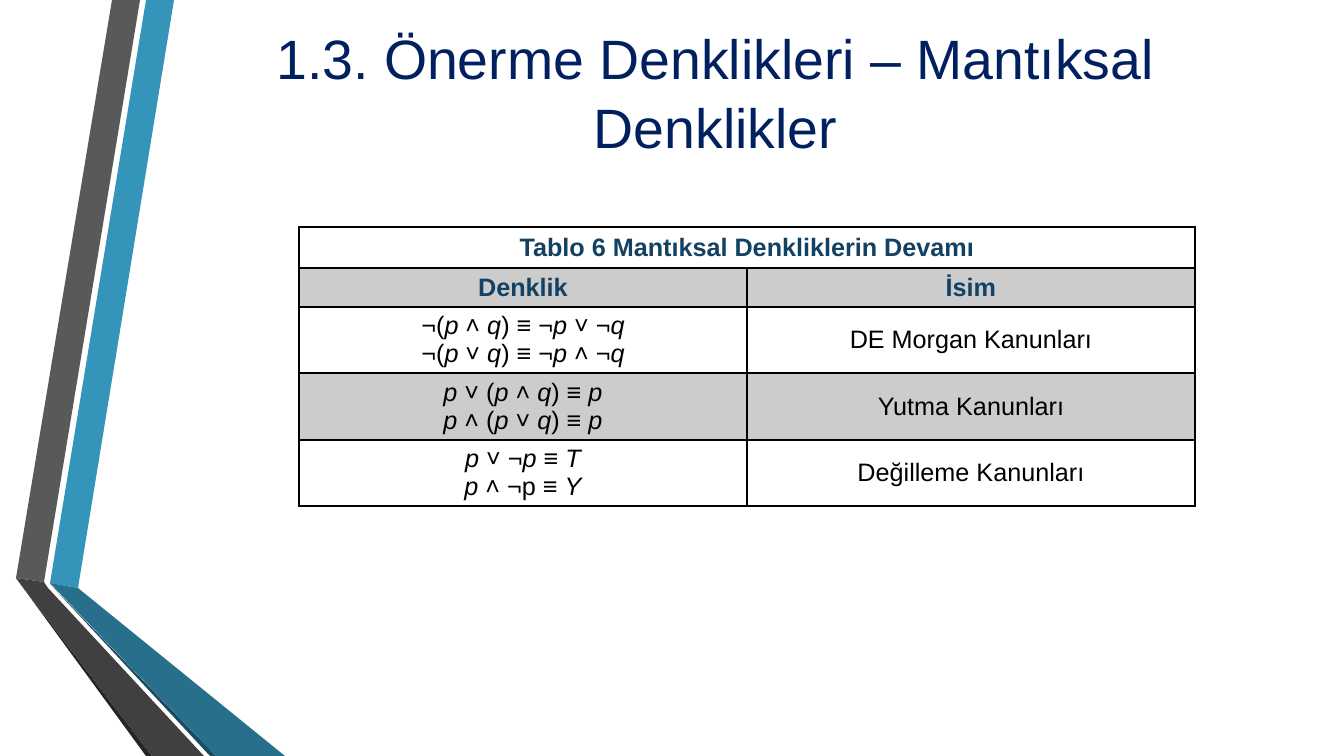
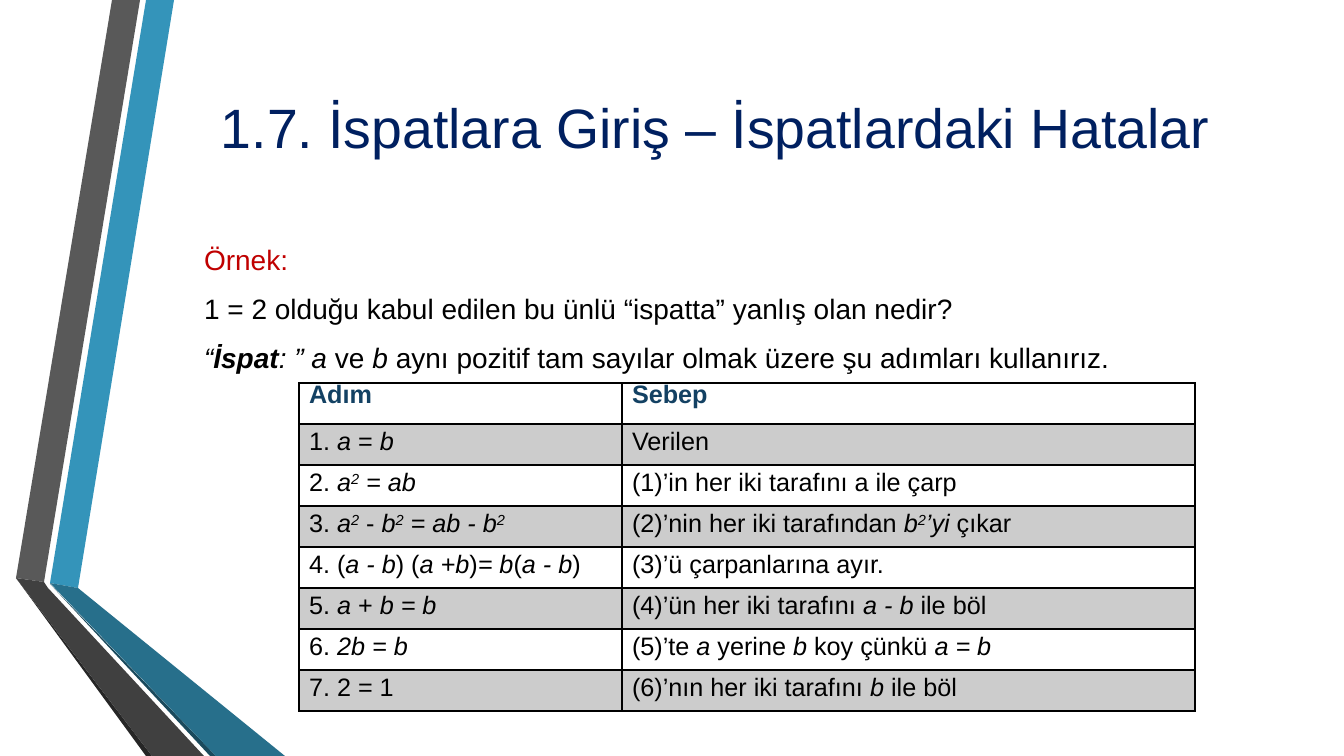
"""Builds two lecture slides on logical equivalences and faulty proofs."""
from lxml.etree import SubElement as Sub
from pptx import Presentation
from pptx.dml.color import RGBColor
from pptx.enum.text import MSO_ANCHOR as Anchor, MSO_AUTO_SIZE as Fit, PP_ALIGN as Align
from pptx.oxml import parse_xml
from pptx.oxml.ns import nsdecls, qn
from pptx.util import Pt

UNIT = 914400 / 100.8
WIDE, HIGH = 1344, 756
FONT = "Arial"
BLACK, NAVY, HEAD, RED, GREY = "000000", "002060", "134163", "C00000", "CCCCCC"

BANDS = [
    ("3494BA", [(50, 583), (78, 588), (174, 0), (146, 0)]),
    ("595959", [(140, 0), (112, 0), (16, 578), (44, 582)]),
    ("262626", [(16, 578), (146, 756), (152, 756)]),
    ("1A4A5D", [(50, 584), (210, 756), (216, 756)]),
    ("276F8B", [(50, 583), (216, 756), (285, 756), (78, 588)]),
    ("404040", [(204, 756), (48, 588), (44, 582), (16, 578), (152, 756)]),
]
TITLE = (163, 14, 1105, 155)
BODY = (194, 202, 1105, 213)

# Marks in text: * italic, # bold, ^ superscript
LAWS = dict(
    title="1.3. Önerme Denklikleri – Mantıksal Denklikler",
    left=299, top=227, cols=[448, 448], rows=[41, 39, 66, 67, 66],
    heads=2, span=True, anchor=Anchor.MIDDLE, align=Align.CENTER, line=None,
    cells=[
        ("Tablo 6 Mantıksal Denkliklerin Devamı", ""),
        ("Denklik", "İsim"),
        ("*¬*(*p* ˄ *q*) ≡ *¬p* ˅ *¬q*\n*¬*(*p* ˅ *q*) ≡ *¬p* ˄ *¬q*", "DE Morgan Kanunları"),
        ("*p* ˅ (*p* ˄ *q*) ≡ *p*\n*p* ˄ (*p* ˅ *q*) ≡ *p*", "Yutma Kanunları"),
        ("*p* ˅ *¬p* ≡ *T*\n*p* ˄ *¬*p ≡ *Y*", "Değilleme Kanunları"),
    ],
)
PROOF = dict(
    title="1.7. İspatlara Giriş – İspatlardaki Hatalar",
    body="Örnek:\n"
         "1 = 2 olduğu kabul edilen bu ünlü “ispatta” yanlış olan nedir?\n"
         "*“#İspat#: ” a* ve *b* aynı pozitif tam sayılar olmak üzere şu adımları kullanırız.",
    left=299, top=383, cols=[323, 573], rows=[41] * 8,
    heads=1, span=False, anchor=Anchor.TOP, align=Align.LEFT, line=Pt(15.5),
    cells=[
        ("Adım", "Sebep"),
        ("1. *a* = *b*", "Verilen"),
        ("2. *a^2^ = ab*", "(1)’in her iki tarafını a ile çarp"),
        ("3. *a^2^* - *b^2^ = ab - b^2^*", "(2)’nin her iki tarafından *b^2^’yi* çıkar"),
        ("4. (*a - b*) (*a +b*)*= b*(*a - b*)", "(3)’ü çarpanlarına ayır."),
        ("5. *a* + *b = b*", "(4)’ün her iki tarafını *a - b* ile böl"),
        ("6. *2b = b*", "(5)’te *a* yerine *b* koy çünkü *a = b*"),
        ("7. 2 = 1", "(6)’nın her iki tarafını *b* ile böl"),
    ],
)


def px(num):
    return round(num * UNIT)


def tint(code):
    return RGBColor.from_string(code)


def write(frame, text, size=18, hue=BLACK, lead=None, bold=False,
          align=Align.LEFT, line=None, gaps=None):
    for row, part in enumerate(text.split("\n")):
        para = frame.add_paragraph() if row else frame.paragraphs[0]
        para.alignment = align
        if line:
            para.line_spacing = line
        if gaps:
            para.space_before, para.space_after = gaps
        for i, slant in enumerate(part.split("*")):
            for j, heavy in enumerate(slant.split("#")):
                for k, bit in enumerate(heavy.split("^")):
                    if not bit:
                        continue
                    run = para.add_run()
                    run.text = bit
                    font = run.font
                    font.name, font.size = FONT, Pt(size)
                    font.bold, font.italic = bold or j % 2 == 1, i % 2 == 1
                    font.color.rgb = tint(lead if lead and row == 0 else hue)
                    if k % 2:
                        run._r.get_or_add_rPr().set("baseline", "30000")


def place(shape, box, anchor):
    shape.left, shape.top, shape.width, shape.height = map(px, box)
    frame = shape.text_frame
    frame.word_wrap, frame.auto_size = True, Fit.NONE
    frame.vertical_anchor = anchor
    return frame


def draw_bands(slide, master):
    for spot, (hue, dots) in enumerate(BANDS):
        pen = slide.shapes.build_freeform(*dots[0], scale=UNIT)
        pen.add_line_segments(dots[1:], close=True)
        band = pen.convert_to_shape()
        band.fill.solid()
        band.fill.fore_color.rgb = tint(hue)
        band.line.fill.background()
        band.shadow.inherit = False
        master.shapes.element.insert(2 + spot, band.element)


def edge(cell):
    props = cell._tc.get_or_add_tcPr()
    for spot, side in enumerate("LRTB"):
        props.insert(spot, parse_xml(
            f'<a:ln{side} {nsdecls("a")} w="12700"><a:solidFill>'
            f'<a:srgbClr val="{BLACK}"/></a:solidFill></a:ln{side}>'))


def draw_table(slide, data):
    cols, rows = data["cols"], data["rows"]
    box = map(px, (data["left"], data["top"], sum(cols), sum(rows)))
    grid = slide.shapes.add_table(len(rows), len(cols), *box).table
    grid.first_row = grid.horz_banding = False
    for col, size in zip(grid.columns, cols):
        col.width = px(size)
    for row, size in zip(grid.rows, rows):
        row.height = px(size)
    for r, texts in enumerate(data["cells"]):
        head = r < data["heads"]
        for c, text in enumerate(texts):
            cell = grid.cell(r, c)
            cell.vertical_anchor = data["anchor"]
            cell.margin_top = cell.margin_bottom = px(4)
            if r % 2:
                cell.fill.solid()
                cell.fill.fore_color.rgb = tint(GREY)
            else:
                cell.fill.background()
            edge(cell)
            write(cell.text_frame, text, hue=HEAD if head else BLACK, bold=head,
                  align=data["align"], line=data["line"] if head else None)
    if data["span"]:
        grid.cell(0, 0).merge(grid.cell(0, len(cols) - 1))


def draw_body(shape, text):
    frame = place(shape, BODY, Anchor.MIDDLE)
    write(frame, text, size=20, lead=RED, gaps=(Pt(5), Pt(6)))
    for para in frame.paragraphs:
        props = para._p.get_or_add_pPr()
        props.set("marL", "0")
        props.set("indent", "0")
        Sub(props, qn("a:buNone"))


def main():
    deck = Presentation()
    deck.slide_width, deck.slide_height = px(WIDE), px(HIGH)
    for data in (LAWS, PROOF):
        slide = deck.slides.add_slide(deck.slide_layouts[1 if "body" in data else 5])
        if data is LAWS:
            draw_bands(slide, deck.slide_master)
        frame = place(slide.shapes.title, TITLE, Anchor.BOTTOM)
        frame.margin_bottom = px(9)
        write(frame, data["title"], size=39.6, hue=NAVY, align=Align.CENTER, line=1.05)
        if "body" in data:
            draw_body(slide.placeholders[1], data["body"])
        draw_table(slide, data)
    deck.save("out.pptx")


if __name__ == "__main__":
    main()
